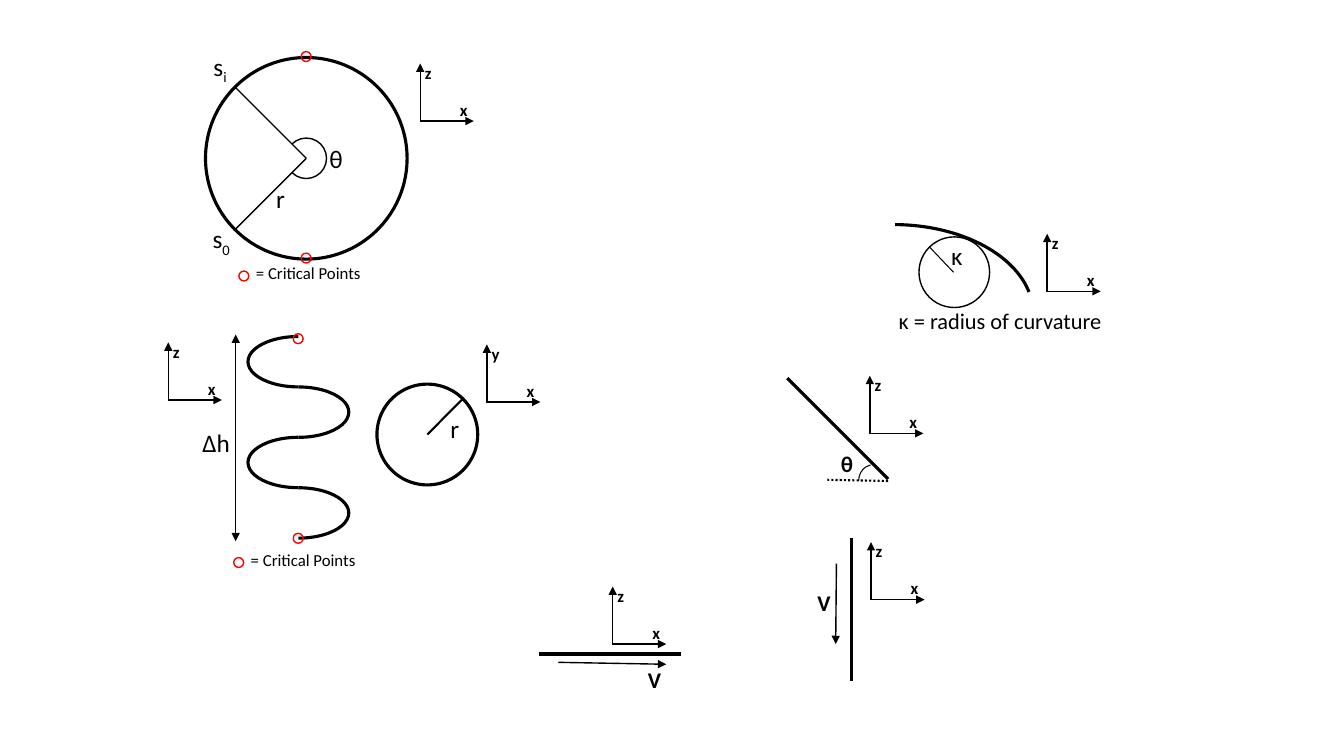
from dataclasses import dataclass

from lxml import etree
from pptx import Presentation
from pptx import util as u
from pptx.dml.color import RGBColor
from pptx.enum import dml, shapes, text
from pptx.oxml import ns


@dataclass(frozen=True)
class Theme:
    font: str = "Calibri"
    ink: RGBColor = RGBColor(0, 0, 0)
    critical: RGBColor = RGBColor(255, 0, 0)
    symbol_size: int = 18
    note_size: int = 16
    small_size: int = 12
    thick: float = 2.25
    medium: float = 1.5
    thin: float = 1
    hairline: float = 0.75


theme = Theme()
Preset = shapes.MSO_SHAPE

presentation = Presentation()
presentation.slide_width = u.Cm(33.87)
presentation.slide_height = u.Cm(19.05)
slide = presentation.slides.add_slide(presentation.slide_layouts[6])


def add_line(start, end, width, arrows=(), dash=None):
    """Draw a straight line; arrows lists the ends (headEnd, tailEnd) with a triangle."""
    connector = slide.shapes.add_connector(
        shapes.MSO_CONNECTOR.STRAIGHT, *(u.Cm(value) for value in (*start, *end)))
    connector.line.color.rgb = theme.ink
    connector.line.width = u.Pt(width)
    if dash:
        connector.line.dash_style = dash
    properties = connector._element.spPr
    outline = properties.find(ns.qn("a:ln"))
    for arrow in arrows:
        etree.SubElement(outline, ns.qn(f"a:{arrow}"), type="triangle")
    etree.SubElement(properties, ns.qn("a:effectLst"))


def add_label(wording, left, top, width, height, size, bold=False, wrap=False, subscript=""):
    box = slide.shapes.add_textbox(*(u.Cm(value) for value in (left, top, width, height)))
    box.text_frame.word_wrap = wrap
    box.text_frame.auto_size = text.MSO_AUTO_SIZE.SHAPE_TO_FIT_TEXT
    paragraph = box.text_frame.paragraphs[0]
    for piece in filter(None, (wording, subscript)):
        run = paragraph.add_run()
        run.text = piece
        run.font.name = theme.font
        run.font.size = u.Pt(size)
        run.font.bold = bold
        run.font.color.rgb = theme.ink
    if subscript:
        run._r.get_or_add_rPr().set("baseline", "-25000")


# Outlines: preset, left, top, width, height, line width, colour, rotation, arc angles
outlines = [
    (Preset.OVAL, 5.18, 1.45, 5.08, 5.08, theme.thick, theme.ink, 0, ()),
    (Preset.ARC, 7.21, 3.48, 1.02, 1.02, theme.thin, theme.ink, 0, (225.65, 135.5)),
    (Preset.OVAL, 9.5, 9.68, 2.54, 2.54, theme.thick, theme.ink, 0, ()),
    (Preset.ARC, 19, 5.66, 7.04, 4.5, theme.thick, theme.ink, 0, (271, 350.82)),
    (Preset.ARC, 21.64, 11.71, 0.74, 0.81, theme.hairline, theme.ink, 0, (178.52, 260.08)),
    (Preset.OVAL, 23.16, 5.97, 1.78, 1.78, theme.thin, theme.ink, 0, ()),
]

# Four half turns of the helix, alternately to the left and to the right
half_turn = 1.27
for turn in range(4):
    side = turn % 2
    outlines.append((Preset.LEFT_BRACKET, 6.25 + half_turn * side, 8.48 + half_turn * turn,
                     half_turn, half_turn, theme.thick, theme.ink, 180 * side, (0.5,)))

critical_points = [(7.59, 1.3), (7.59, 6.38), (6.02, 6.83),
                   (7.39, 8.41), (7.39, 13.44), (5.89, 14.05)]
for left, top in critical_points:
    outlines.append((Preset.OVAL, left, top, 0.25, 0.25, theme.thin, theme.critical, 0, ()))

for preset, left, top, width, height, weight, colour, rotation, settings in outlines:
    shape = slide.shapes.add_shape(preset, *(u.Cm(value) for value in (left, top, width, height)))
    shape.shadow.inherit = False
    shape.fill.background()
    shape.line.color.rgb = colour
    shape.line.width = u.Pt(weight)
    shape.rotation = rotation
    for index, setting in enumerate(settings):
        # Arc angles are in degrees; one degree is 0.6 of an adjustment unit
        shape.adjustments[index] = setting * 0.6 if preset == Preset.ARC else setting

# Loop radii
loop_centre = (7.72, 3.99)
for rim_y in (2.19, 5.79):
    add_line((5.92, rim_y), loop_centre, theme.thin)

# Helix height and radius
add_line((5.94, 8.43), (5.94, 13.64), theme.thin, ("headEnd", "tailEnd"))
add_line((11.68, 10.03), (10.77, 10.95), theme.medium)

# Radius of curvature
add_line((23.42, 6.22), (24.03, 6.86), theme.hairline)

# Incline, vertical and horizontal tracks with their directions
add_line((19.84, 9.53), (22.38, 12.07), theme.thick)
add_line((22.38, 12.12), (20.85, 12.09), theme.medium, dash=dml.MSO_LINE.ROUND_DOT)
add_line((21.46, 13.56), (21.46, 17.15), theme.thick)
add_line((21.08, 14.2), (21.06, 16.23), theme.thin, ("tailEnd",))
add_line((17.17, 16.48), (13.59, 16.48), theme.thick)
add_line((14.07, 16.69), (16.79, 16.74), theme.thin, ("tailEnd",))

# Axes: origin and name of the upright axis
axes = [
    (10.59, 3.05, "z"), (4.24, 10.08, "z"), (12.27, 10.13, "y"), (21.92, 10.92, "z"),
    (26.39, 7.34, "z"), (21.95, 15.11, "z"), (15.44, 16.23, "z"),
]
for x, y, upright in axes:
    add_line((x, y + 0.02), (x, y - 1.45), theme.thin, ("tailEnd",))
    add_line((x, y), (x + 1.35, y), theme.thin, ("tailEnd",))
    for name, left, top in ((upright, x - 0.13, y - 1.6), ("x", x + 0.75, y - 0.67)):
        add_label(name, left, top, 0.64, 0.76, theme.small_size, bold=True, wrap=True)

symbols = [
    ("θ", "", 8.05, 3.48, 0.86), ("s", "0", 5.11, 5.51, 0.99), ("s", "i", 5.13, 1.17, 0.86),
    ("r", "", 6.71, 4.5, 0.74), ("Δh", "", 4.85, 10.64, 1.22), ("r", "", 11.1, 10.29, 0.74),
    ("κ", "", 23.72, 5.94, 0.81),
]
for symbol, subscript, left, top, width in symbols:
    add_label(symbol, left, top, width, 1.02, theme.symbol_size, subscript=subscript)

for left, top in ((6.2, 6.5), (6.07, 13.74)):
    add_label("= Critical Points", left, top, 3.18, 0.76, theme.small_size)

add_label("κ = radius of curvature", 22.4, 7.62, 5.69, 0.94, theme.note_size)
add_label("θ", 21.06, 11.23, 0.38, 0.94, theme.note_size, bold=True, wrap=True)
for left, top in ((20.35, 14.71), (16.08, 16.66)):
    add_label("V", left, top, 0.86, 0.94, theme.note_size, bold=True)

presentation.save("out.pptx")
